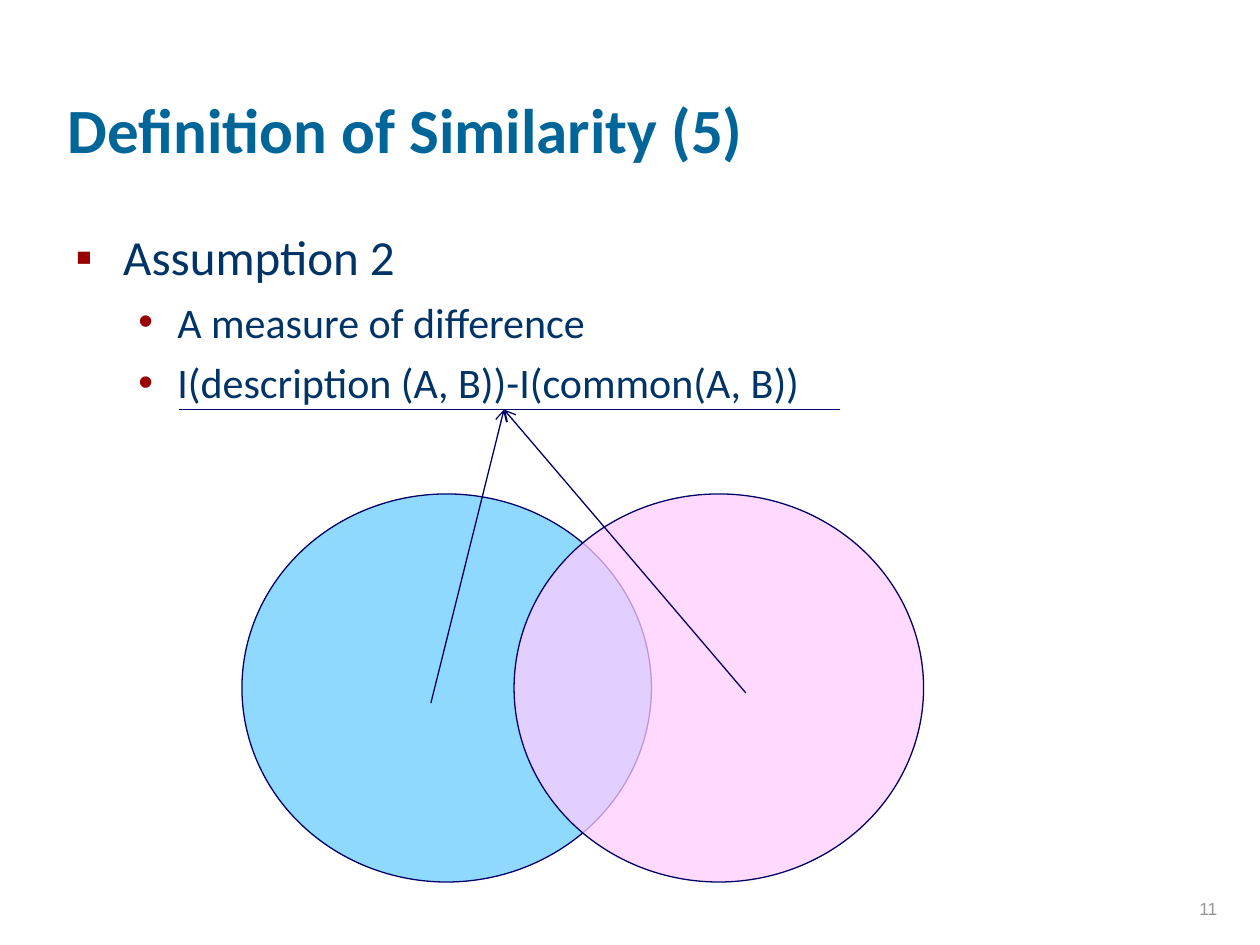
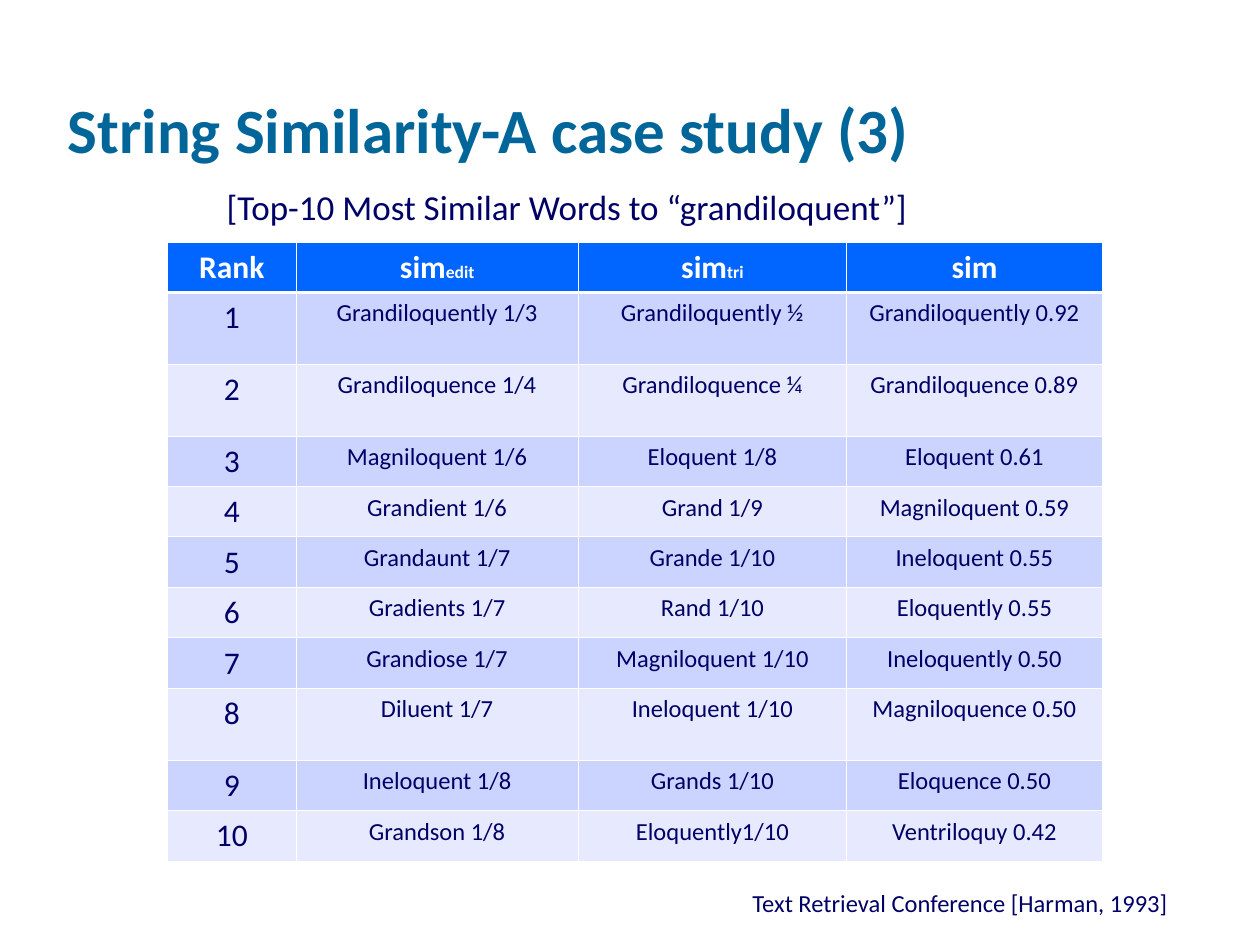
from lxml import etree
from pptx import Presentation
from pptx.dml.color import RGBColor
from pptx.enum.shapes import MSO_CONNECTOR, MSO_SHAPE
from pptx.enum.text import MSO_ANCHOR, PP_ALIGN
from pptx.oxml.ns import qn
from pptx.util import Inches, Pt

LEFT, CENTER, RIGHT = PP_ALIGN.LEFT, PP_ALIGN.CENTER, PP_ALIGN.RIGHT
TOP, BOTTOM = MSO_ANCHOR.TOP, MSO_ANCHOR.BOTTOM
OVAL, STRAIGHT = MSO_SHAPE.OVAL, MSO_CONNECTOR.STRAIGHT

TEAL = RGBColor(0x00, 0x66, 0x99)
SLATE = RGBColor(0x00, 0x33, 0x66)
NAVY = RGBColor(0x00, 0x00, 0x66)
RED = RGBColor(0x99, 0x00, 0x00)
GRAY = RGBColor(0x96, 0x96, 0x96)
WHITE = RGBColor(0xFF, 0xFF, 0xFF)
SKY = RGBColor(0x66, 0xCC, 0xFF)
PINK = RGBColor(0xFF, 0xCC, 0xFF)
HEADER_BLUE = RGBColor(0x00, 0x66, 0xFF)
BAND_DARK = RGBColor(0xCB, 0xD3, 0xFF)
BAND_LIGHT = RGBColor(0xE7, 0xEA, 0xFF)

FONT = "Calibri"
NUMBER_FONT = "Arial"
THIN, HEADER_RULE = 0.45, 1.47

# Bullet levels: character, left indent, hanging indent, text size, space before
LEVELS = [("▪", 0.38, 0.38, 28, 7), ("•", 0.81, 0.31, 24, 6)]

ASSUMPTION = [
    (0, "Assumption 2"),
    (1, "A measure of difference"),
    (1, "I(description (A, B))-I(common(A, B))"),
]

HEADINGS = [("Rank", ""), ("sim", "edit"), ("sim", "tri"), ("sim", "")]
SIMILAR_WORDS = [
    ("Grandiloquently 1/3", "Grandiloquently ½", "Grandiloquently 0.92"),
    ("Grandiloquence 1/4", "Grandiloquence ¼", "Grandiloquence 0.89"),
    ("Magniloquent 1/6", "Eloquent 1/8", "Eloquent 0.61"),
    ("Grandient 1/6", "Grand 1/9", "Magniloquent 0.59"),
    ("Grandaunt 1/7", "Grande 1/10", "Ineloquent 0.55"),
    ("Gradients 1/7", "Rand 1/10", "Eloquently 0.55"),
    ("Grandiose 1/7", "Magniloquent 1/10", "Ineloquently 0.50"),
    ("Diluent 1/7", "Ineloquent 1/10", "Magniloquence 0.50"),
    ("Ineloquent 1/8", "Grands 1/10", "Eloquence 0.50"),
    ("Grandson 1/8", "Eloquently1/10", "Ventriloquy 0.42"),
]
COLUMN_WIDTHS = [1.02, 2.24, 2.13, 2.03]
ROW_HEIGHT, TALL_ROW_HEIGHT = 0.4, 0.57
TALL_RANKS = {1, 2, 8}


def add_span(para, text, size, color, bold=False, font=FONT):
    span = para.add_run()
    span.text = text
    span.font.name = font
    span.font.size = Pt(size)
    span.font.bold = bold
    span.font.color.rgb = color


def add_frame(page, box, anchor=TOP, wrap=True):
    frame = page.shapes.add_textbox(*map(Inches, box)).text_frame
    frame.word_wrap = wrap
    frame.vertical_anchor = anchor
    return frame


def add_label(page, box, text, size, color, align=CENTER, anchor=TOP,
              wrap=True, **style):
    para = add_frame(page, box, anchor, wrap).paragraphs[0]
    para.alignment = align
    add_span(para, text, size, color, **style)


def add_title(page, text):
    add_label(page, (0.44, 0.12, 8.97, 1.25), text, 36, TEAL, LEFT, BOTTOM,
              bold=True)


def set_bullet(para, char, indent, hanging):
    props = para._p.get_or_add_pPr()
    props.set("marL", str(Inches(indent)))
    props.set("indent", str(-Inches(hanging)))
    color = etree.SubElement(props, qn("a:buClr"))
    etree.SubElement(color, qn("a:srgbClr"), val=str(RED))
    etree.SubElement(props, qn("a:buFont"), typeface="Arial")
    etree.SubElement(props, qn("a:buChar"), char=char)


def add_bullets(page, box, items):
    frame = add_frame(page, box)
    for index, (level, text) in enumerate(items):
        para = frame.add_paragraph() if index else frame.paragraphs[0]
        char, indent, hanging, size, space = LEVELS[level]
        para.level = level
        set_bullet(para, char, indent, hanging)
        if index:
            para.space_before = Pt(space)
        add_span(para, text, size, SLATE)


def add_circle(page, box, color, opacity):
    circle = page.shapes.add_shape(OVAL, *map(Inches, box))
    circle.shadow.inherit = False
    circle.fill.solid()
    circle.fill.fore_color.rgb = color
    tint = circle.fill._xPr.find(qn("a:solidFill"))[0]
    etree.SubElement(tint, qn("a:alpha"), val=str(opacity * 1000))
    circle.line.color.rgb = NAVY
    circle.line.width = Pt(0.75)


def add_line(page, start, end, arrow=False):
    line = page.shapes.add_connector(STRAIGHT, *map(Inches, start + end))
    line.line.color.rgb = NAVY
    line.line.width = Pt(0.75)
    if arrow:
        etree.SubElement(line.line._get_or_add_ln(), qn("a:tailEnd"),
                         type="arrow")
    etree.SubElement(line._element.spPr, qn("a:effectLst"))


def add_difference_diagram(page, box):
    """Two overlapping circles whose outer parts point up to the formula."""
    left, top, width, height = box
    diameter, circle_height = 3.25, 3.08
    circle_top = top + height - circle_height
    add_circle(page, (left + 0.5, circle_top, diameter, circle_height), SKY, 73)
    add_circle(page, (left + width - diameter + 0.66, circle_top, diameter,
                      circle_height), PINK, 74)
    target = (left + 2.58, top)
    for start in [(left + 2, top + 2.33), (left + 4.5, top + 2.25)]:
        add_line(page, start, target, arrow=True)
    add_line(page, (left, top), (left + width, top))


def set_borders(cell, widths):
    props = cell._tc.get_or_add_tcPr()
    for position, (side, width) in enumerate(widths.items()):
        edge = etree.Element(qn(f"a:ln{side}"), w=str(Pt(width)))
        fill = etree.SubElement(edge, qn("a:solidFill"))
        etree.SubElement(fill, qn("a:srgbClr"), val=str(WHITE))
        props.insert(position, edge)


def fill_cell(cell, spans, color, background, widths):
    """Write (text, size, bold) spans into a centred cell."""
    cell.fill.solid()
    cell.fill.fore_color.rgb = background
    set_borders(cell, widths)
    para = cell.text_frame.paragraphs[0]
    para.alignment = CENTER
    for text, size, bold in spans:
        add_span(para, text, size, color, bold)


def add_word_table(page, box):
    table = page.shapes.add_table(len(SIMILAR_WORDS) + 1, len(HEADINGS),
                                  *map(Inches, box)).table
    for column, width in zip(table.columns, COLUMN_WIDTHS):
        column.width = Inches(width)
    for rank, row in enumerate(table.rows):
        row.height = Inches(TALL_ROW_HEIGHT if rank in TALL_RANKS
                            else ROW_HEIGHT)

    plain = dict.fromkeys("LRTB", THIN)
    for column, (name, suffix) in enumerate(HEADINGS):
        spans = [(name, 18, True)]
        if suffix:
            spans.append((suffix, 10, True))
        fill_cell(table.cell(0, column), spans, WHITE, HEADER_BLUE,
                  {**plain, "B": HEADER_RULE})

    for rank, words in enumerate(SIMILAR_WORDS, start=1):
        band = BAND_DARK if rank % 2 else BAND_LIGHT
        widths = {**plain, "T": HEADER_RULE} if rank == 1 else plain
        for column, text in enumerate((str(rank), *words)):
            size = 14 if column else 18
            fill_cell(table.cell(rank, column), [(text, size, False)],
                      NAVY, band, widths)


def build_definition(page):
    add_title(page, "Definition of Similarity (5)")
    add_bullets(page, (0.5, 1.75, 8.94, 4.88), ASSUMPTION)
    add_label(page, (7.68, 6.84, 2.08, 0.5), "11", 10, GRAY, RIGHT, BOTTOM,
              font=NUMBER_FONT)
    add_difference_diagram(page, (1.42, 3.25, 5.25, 3.75))


def build_case_study(page):
    add_title(page, "String Similarity-A case study (3)")
    add_word_table(page, (1.33, 1.92, 7.42, 4.9))
    add_label(page, (1.31, 1.42, 6.38, 0.44),
              "[Top-10 Most Similar Words to “grandiloquent”]", 20, NAVY,
              wrap=False)
    add_label(page, (5.58, 7, 4.08, 0.34),
              "Text Retrieval Conference [Harman, 1993]", 14, NAVY)


def main():
    deck = Presentation()
    deck.slide_width, deck.slide_height = Inches(10), Inches(7.5)
    blank = deck.slide_layouts[6]
    for build in (build_definition, build_case_study):
        build(deck.slides.add_slide(blank))
    deck.save("out.pptx")


if __name__ == "__main__":
    main()
